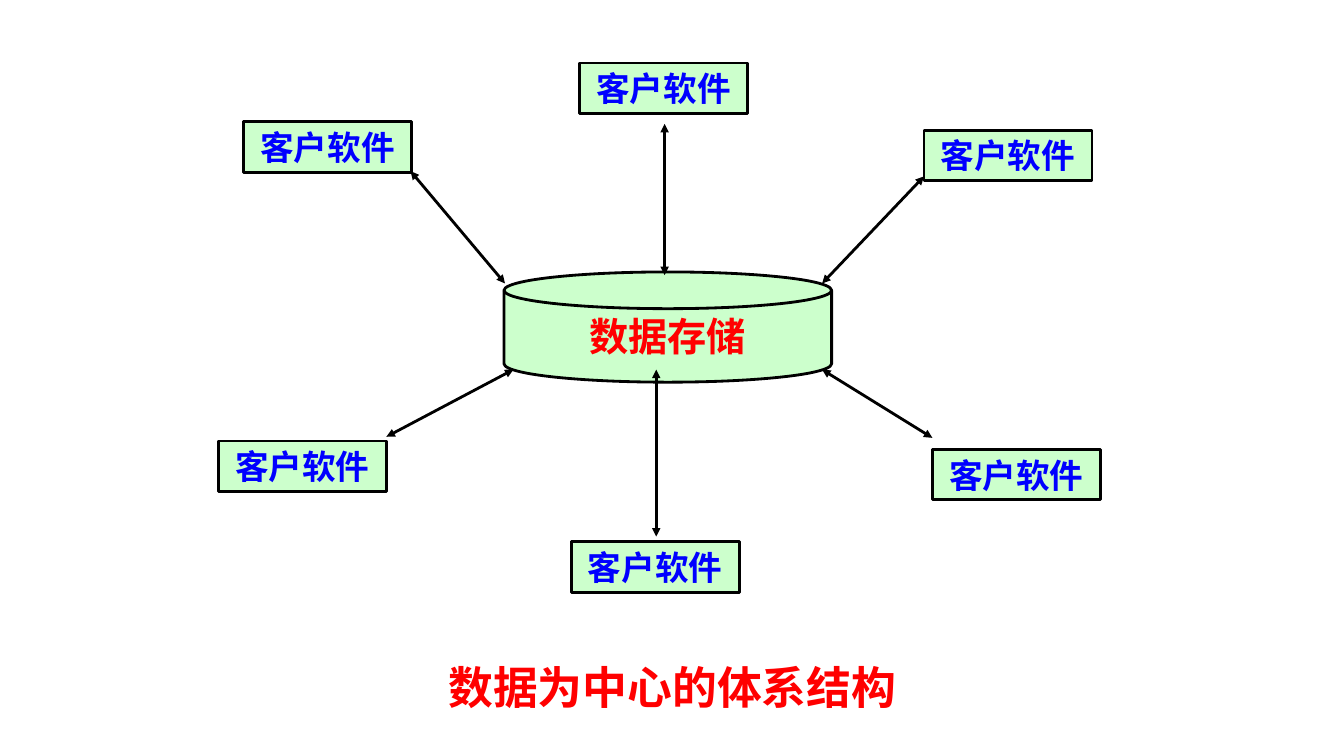
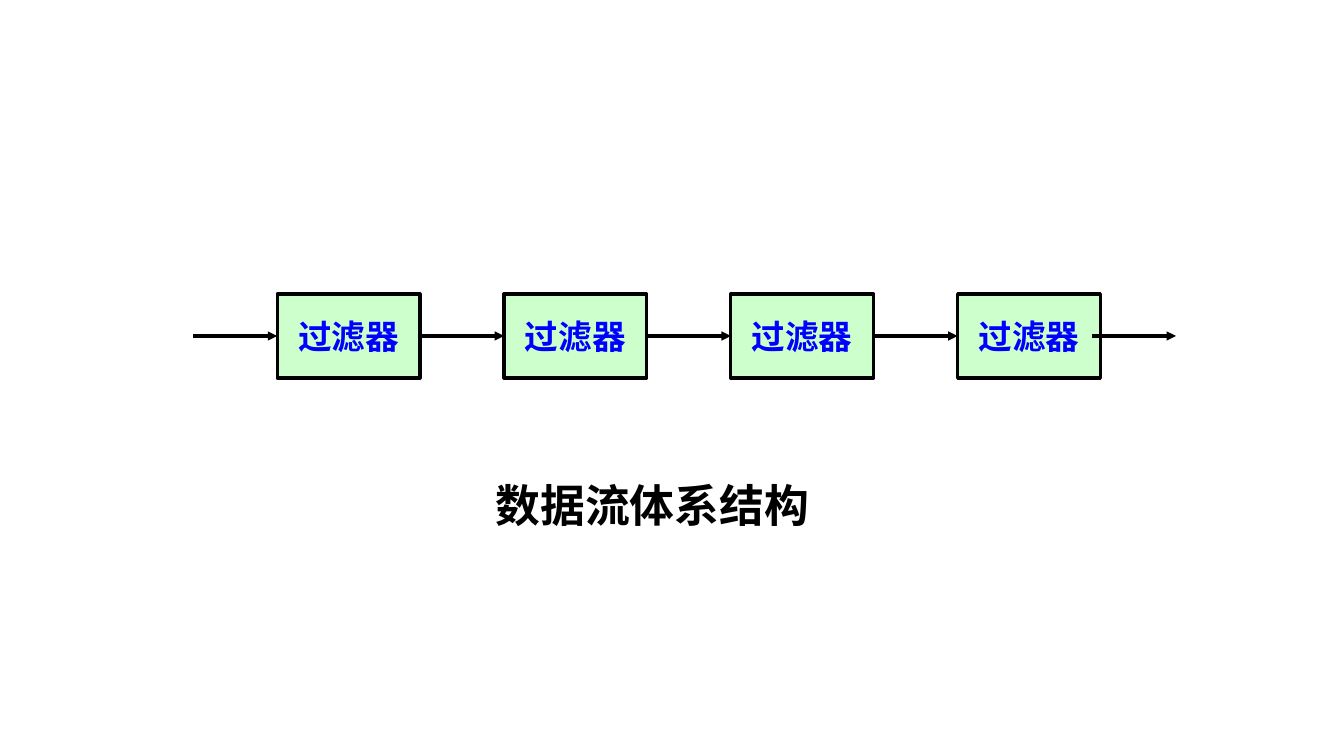
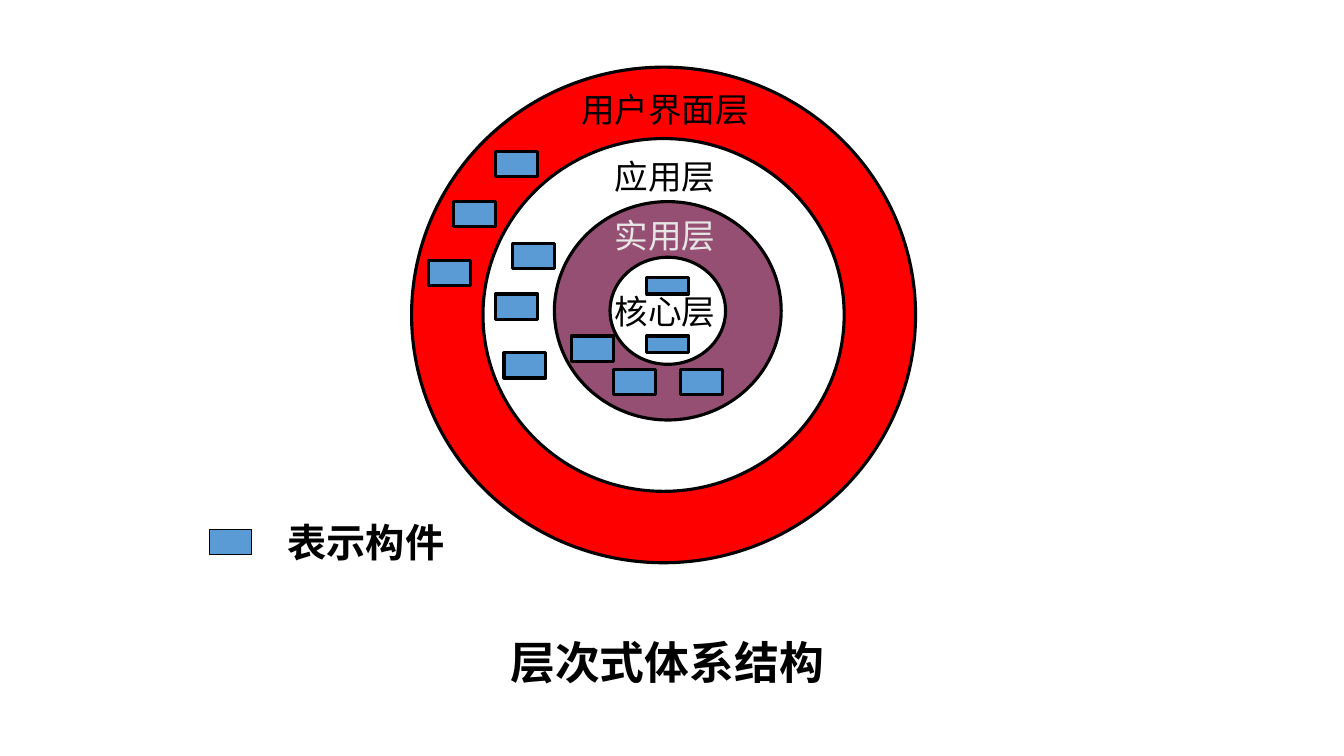
from lxml.etree import SubElement
from pptx import Presentation
from pptx.dml.color import RGBColor
from pptx.enum.shapes import MSO_CONNECTOR as CONN, MSO_SHAPE as SHAPE
from pptx.enum.text import MSO_ANCHOR as ANCHOR, MSO_AUTO_SIZE as FIT, PP_ALIGN as ALIGN
from pptx.oxml.ns import qn
from pptx.util import Pt

PX = 9525
BLACK, RED, BLUE = "000000", "FF0000", "0000FF"
GREEN, PURPLE, SKY, GRAY = "CCFFCC", "954F72", "5B9BD5", "E7E6E6"
TOP, LEFT, BOTTOM, RIGHT = range(4)


def emu(*lengths):
    return [n * PX for n in lengths]


def rgb(color):
    return RGBColor.from_string(color)


def write(tf, text, size=24, color=BLACK, bold=False, font="Times New Roman",
          align=ALIGN.CENTER, anchor=ANCHOR.TOP, wrap=True, fit=FIT.SHAPE_TO_FIT_TEXT):
    tf.word_wrap = wrap
    tf.auto_size = fit
    tf.vertical_anchor = anchor
    p = tf.paragraphs[0]
    p.alignment = align
    r = p.add_run()
    r.text = text
    r.font.size = Pt(size)
    r.font.bold = bold
    r.font.name = font
    r.font.color.rgb = rgb(color)


class Deck:
    def __init__(self):
        self.prs = Presentation()
        self.prs.slide_width, self.prs.slide_height = emu(1280, 720)
        self.s = None

    def slide(self):
        self.s = self.prs.slides.add_slide(self.prs.slide_layouts[6])

    def shape(self, kind, x, y, w, h, fill, line=2.25):
        sp = self.s.shapes.add_shape(kind, *emu(x, y, w, h))
        sp.shadow.inherit = False
        sp.fill.solid()
        sp.fill.fore_color.rgb = rgb(fill)
        sp.line.color.rgb = rgb(BLACK)
        sp.line.width = Pt(line)
        return sp

    def node(self, kind, x, y, w, h, text, line=2, color=BLUE, **fmt):
        sp = self.shape(kind, x, y, w, h, GREEN, line)
        write(sp.text_frame, text, color=color, bold=True, anchor=ANCHOR.MIDDLE, **fmt)
        return sp

    def ring(self, x, y, w, h, band, fill):
        sp = self.shape(SHAPE.DONUT, x, y, w, h, fill)
        sp.adjustments[0] = band / min(w, h)

    def text(self, x, y, w, h, text, **fmt):
        sp = self.s.shapes.add_textbox(*emu(x, y, w, h))
        write(sp.text_frame, text, **fmt)

    def caption(self, x, y, w, text, **fmt):
        self.text(x, y, w, 61, text, size=32, bold=True, **fmt)

    def arrow(self, x1, y1, x2, y2, line=2.25, both=False, begin=None, end=None):
        cx = self.s.shapes.add_connector(CONN.STRAIGHT, *emu(x1, y1, x2, y2))
        if begin is not None:
            cx.begin_connect(begin, RIGHT)
        if end is not None:
            cx.end_connect(end, LEFT)
        cx.line.color.rgb = rgb(BLACK)
        cx.line.width = Pt(line)
        ln = cx.line._get_or_add_ln()
        for tag in ("a:headEnd", "a:tailEnd") if both else ("a:tailEnd",):
            SubElement(ln, qn(tag), type="triangle")
        SubElement(cx._element.spPr, qn("a:effectLst"))


def data_centered(d):
    d.slide()
    d.node(SHAPE.FLOWCHART_MAGNETIC_DISK, 480, 259, 312, 105, "数据存储", color=RED, size=28)
    for x, y in ((232, 116), (552, 60), (880, 124), (208, 420), (544, 516), (888, 428)):
        d.node(SHAPE.RECTANGLE, x, y, 160, 48, "客户软件")
    for ends in ((391, 163, 481, 270), (633, 118, 633, 262), (880, 168, 783, 270),
                 (368, 416, 489, 352), (625, 352, 625, 511), (783, 352, 888, 417)):
        d.arrow(*ends, line=2, both=True)
    d.caption(384, 624, 513, "数据为中心的体系结构", color=RED, font="Noto Sans CJK JP")


def data_flow(d):
    d.slide()
    x, y, w, h, step = 264, 280, 136, 80, 216
    mid, gap = y + h // 2, step - w
    filters = [d.node(SHAPE.FLOWCHART_PROCESS, x + i * step, y, w, h, "过滤器",
                      line=2.25, wrap=False, fit=FIT.NONE) for i in range(4)]
    for i, (before, after) in enumerate(zip([None] + filters, filters)):
        end = x + i * step
        d.arrow(end - gap, mid, end, mid, begin=before, end=after)
    d.arrow(1040, mid, 1120, mid)
    d.caption(338, 450, 567, "数据流体系结构")


def layered(d):
    d.slide()
    d.ring(392, 64, 480, 472, 68, RED)
    d.ring(528, 192, 216, 208, 53, PURPLE)
    for x, y, w, name, color in ((544, 80, 192, "用户界面层", BLACK),
                                 (576, 144, 128, "应用层", BLACK),
                                 (576, 200, 128, "实用层", GRAY),
                                 (576, 272, 128, "核心层", BLACK)):
        d.text(x, y, w, 48, name, color=color, align=ALIGN.LEFT)
    components = {24: ((472, 144), (432, 192), (408, 248), (488, 232), (472, 280),
                       (480, 336), (544, 320), (584, 352), (648, 352)),
                  16: ((616, 320), (616, 264))}
    for h, places in components.items():
        for x, y in places:
            d.shape(SHAPE.RECTANGLE, x, y, 40, h, SKY)
    d.shape(SHAPE.RECTANGLE, 200, 504, 40, 24, SKY, line=0.75)
    d.text(254, 489, 189, 55, "表示构件", size=28, bold=True)
    d.caption(420, 600, 431, "层次式体系结构")


def main():
    d = Deck()
    data_centered(d)
    data_flow(d)
    layered(d)
    d.prs.save("out.pptx")


if __name__ == "__main__":
    main()
